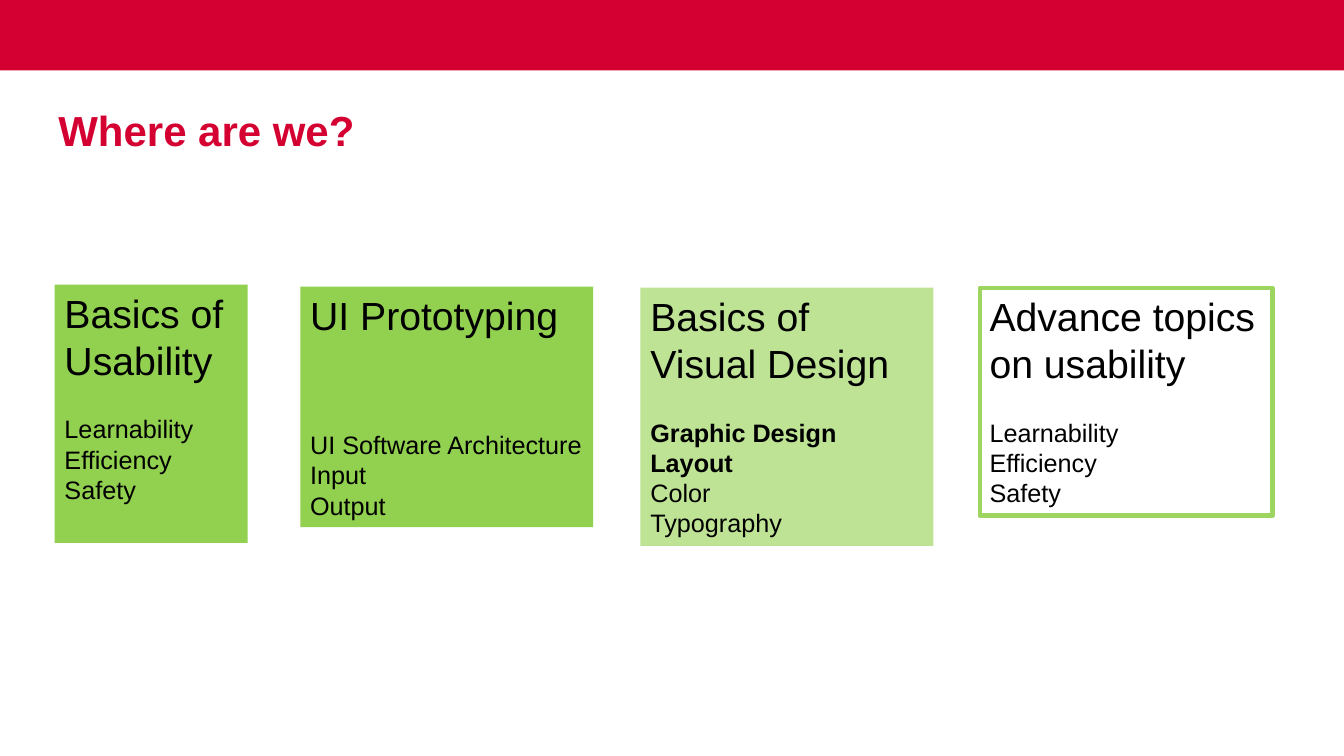
from pptx import Presentation
from pptx.dml.color import RGBColor
from pptx.enum.shapes import MSO_SHAPE
from pptx.enum.text import MSO_ANCHOR, PP_ALIGN
from pptx.util import Pt

RECTANGLE = MSO_SHAPE.RECTANGLE
TOP = MSO_ANCHOR.TOP
LEFT = PP_ALIGN.LEFT

EMU_PER_PX = 9525
FONT = "Arial"
RED = "D50032"
BLACK = "000000"
GREEN = "92D050"
LIGHT_GREEN = "BEE395"
OUTLINE_GREEN = "9ED561"
HEADING_SIZE = 28
TOPIC_SIZE = 18
LINE_FACTOR = 1.2

MODULES = [
    ((52, 271, 184, 246), GREEN, "Basics of Usability", 1,
     ["Learnability", "Efficiency", "Safety"], 0),
    ((286, 273, 279, 229), GREEN, "UI Prototyping", 3,
     ["UI Software Architecture", "Input", "Output"], 0),
    ((610, 274, 279, 246), LIGHT_GREEN, "Basics of Visual Design", 1,
     ["Graphic Design", "Layout", "Color", "Typography"], 2),
    ((933, 274, 279, 217), None, "Advance topics on usability", 1,
     ["Learnability", "Efficiency", "Safety"], 0),
]


def px(length):
    return length * EMU_PER_PX


def color(value):
    return RGBColor.from_string(value)


def format_para(para, size, hue, bold=False):
    para.alignment = LEFT
    for span in para.runs:
        span.font.name = FONT
        span.font.size = Pt(size)
        span.font.bold = bold
        span.font.color.rgb = color(hue)


def add_box(page, frame, fill, outline=None):
    box = page.shapes.add_shape(RECTANGLE, *map(px, frame))
    box.shadow.inherit = False
    if fill:
        box.fill.solid()
        box.fill.fore_color.rgb = color(fill)
    else:
        box.fill.background()
    if outline:
        box.line.color.rgb = color(outline)
        box.line.width = Pt(3)
    else:
        box.line.fill.background()
    return box


def set_title(page, text):
    title = page.shapes.title
    title.left, title.top, title.width, title.height = map(px, (46, 95, 1188, 136))
    title.text_frame.text = text
    title.text_frame.vertical_anchor = TOP
    format_para(title.text_frame.paragraphs[0], 30, RED, True)


def add_module(page, frame, fill, heading, gap_lines, topics, bold_count):
    box = add_box(page, frame, fill, None if fill else OUTLINE_GREEN)
    body = box.text_frame
    body.word_wrap = True
    body.vertical_anchor = TOP
    body.text = "\n".join([heading, *topics])
    for index, para in enumerate(body.paragraphs):
        size = TOPIC_SIZE if index else HEADING_SIZE
        format_para(para, size, BLACK, 0 < index <= bold_count)
        para.line_spacing = Pt(size * LINE_FACTOR)
    body.paragraphs[1].space_before = Pt(gap_lines * TOPIC_SIZE * LINE_FACTOR)


def main():
    deck = Presentation()
    deck.slide_width, deck.slide_height = px(1280), px(720)
    page = deck.slides.add_slide(deck.slide_layouts[5])
    add_box(page, (0, 0, 1280, 67), RED)
    set_title(page, "Where are we?")
    for module in MODULES:
        add_module(page, *module)
    deck.save("out.pptx")


if __name__ == "__main__":
    main()
